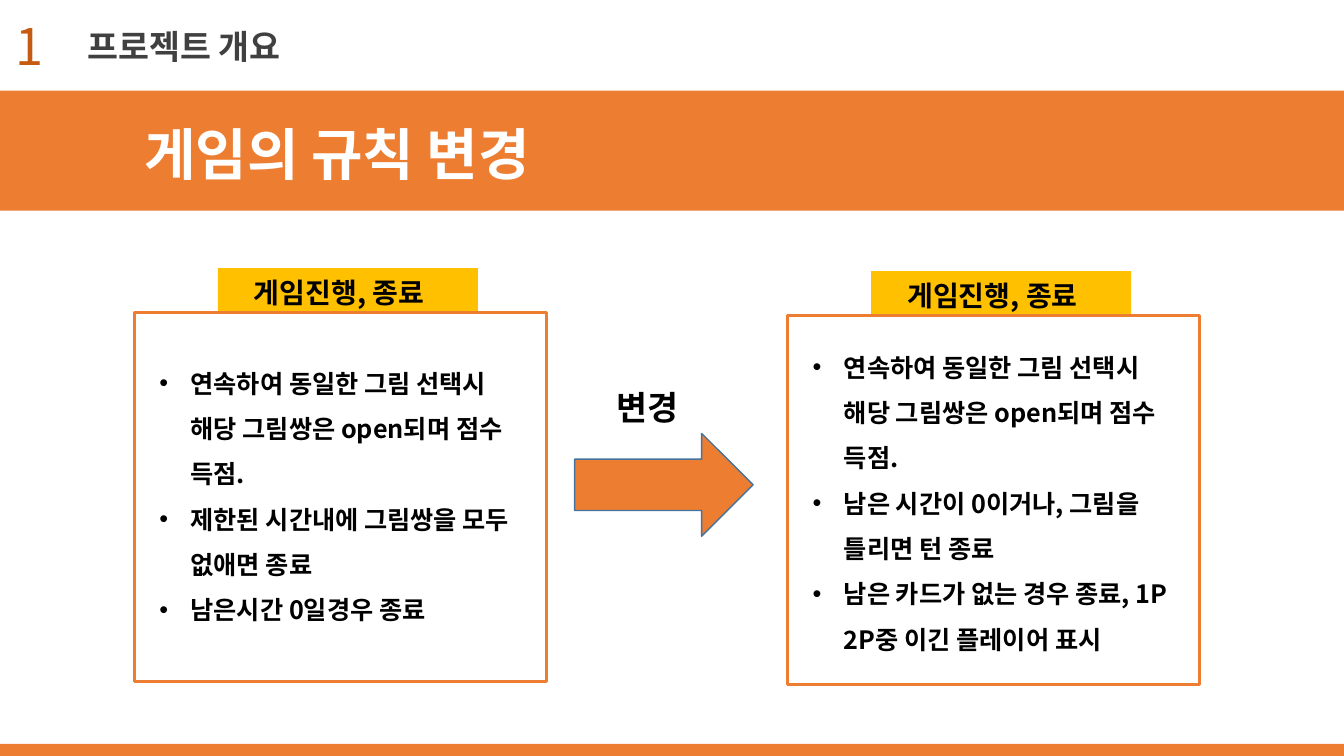
from dataclasses import dataclass

from pptx import Presentation
from pptx.dml.color import RGBColor
from pptx.enum.shapes import MSO_SHAPE as Shape
from pptx.enum.text import MSO_ANCHOR as Anchor, MSO_AUTO_SIZE as AutoSize, PP_ALIGN as Align
from pptx.oxml.ns import qn
from pptx.oxml.xmlchemy import OxmlElement
from pptx.util import Emu, Pt

FONT = "Noto Sans CJK KR"
ORANGE, AMBER, BLACK, WHITE = "ED7D31", "FFC000", "000000", "FFFFFF"
PAGE_WIDTH, PAGE_HEIGHT = 1333, 750
PANEL_WIDTH, PANEL_HEIGHT = 409, 366
TAG_WIDTH, TAG_HEIGHT = 258, 44
INDENT = 31


@dataclass
class Style:
    size: int
    color: str = BLACK
    bold: bool = True
    align: Align = Align.LEFT
    tracking: int = 0


@dataclass
class Panel:
    left: int
    top: int
    rules_top: int
    rules_height: int
    rules: list[str]


PANELS = [
    Panel(133, 310, 345, 283, [
        "연속하여 동일한 그림 선택시 해당 그림쌍은 open되며 점수 득점.",
        "제한된 시간내에 그림쌍을 모두 없애면 종료",
        "남은시간 0일경우 종료",
    ]),
    Panel(781, 313, 329, 328, [
        "연속하여 동일한 그림 선택시 해당 그림쌍은 open되며 점수 득점.",
        "남은 시간이 0이거나, 그림을 틀리면 턴 종료",
        "남은 카드가 없는 경우 종료, 1P 2P중 이긴 플레이어 표시",
    ]),
]


def px(length: int) -> Emu:
    """Convert pixels, 100 to the inch, to EMU."""
    return Emu(length * 9144)


def rgb(color: str) -> RGBColor:
    return RGBColor.from_string(color)


def format_paragraph(para, style: Style) -> None:
    para.alignment = style.align
    font = para.font
    font.size, font.bold, font.name = Pt(style.size), style.bold, FONT
    font.color.rgb = rgb(style.color)
    properties = para._p.pPr.find(qn("a:defRPr"))
    if style.tracking:
        properties.set("spc", str(style.tracking))
    east_asian = OxmlElement("a:ea")
    east_asian.set("typeface", FONT)
    properties.append(east_asian)


def add_bullet(para) -> None:
    properties = para._p.get_or_add_pPr()
    properties.set("marL", str(px(INDENT)))
    properties.set("indent", str(-px(INDENT)))
    bullet_font = OxmlElement("a:buFont")
    bullet_font.set("typeface", "Arial")
    bullet = OxmlElement("a:buChar")
    bullet.set("char", "•")
    properties.extend([bullet_font, bullet])


def fill_text(box, lines: list[str], style: Style, wrap: bool = True, bulleted: bool = False) -> None:
    frame = box.text_frame
    frame.text = "\n".join(lines)
    frame.word_wrap = wrap
    frame.auto_size = AutoSize.SHAPE_TO_FIT_TEXT
    frame.vertical_anchor = Anchor.TOP
    for para in frame.paragraphs:
        para.space_before = Pt(0)
        para.line_spacing = 1.5 if bulleted else 1.0
        if bulleted:
            add_bullet(para)
        format_paragraph(para, style)


def add_label(page, left: int, top: int, width: int, height: int,
              text: str, style: Style, wrap: bool = False) -> None:
    box = page.shapes.add_textbox(px(left), px(top), px(width), px(height))
    fill_text(box, [text], style, wrap)


def add_block(page, kind: Shape, left: int, top: int, width: int, height: int,
              fill: str = "", line: str = "", weight: float = 1) -> None:
    shape = page.shapes.add_shape(kind, px(left), px(top), px(width), px(height))
    shape.shadow.inherit = False
    if fill:
        shape.fill.solid()
        shape.fill.fore_color.rgb = rgb(fill)
    else:
        shape.fill.background()
    if line:
        shape.line.color.rgb = rgb(line)
        shape.line.width = Pt(weight)
    else:
        shape.line.fill.background()


def place_in_front(page, holder, left: int, top: int, width: int, height: int) -> None:
    holder.left, holder.top, holder.width, holder.height = map(px, (left, top, width, height))
    page.shapes._spTree.append(holder._element)


def draw_panel(page, panel: Panel, holder) -> None:
    left, top = panel.left, panel.top
    add_block(page, Shape.RECTANGLE, left + 83, top - TAG_HEIGHT, TAG_WIDTH, TAG_HEIGHT, AMBER)
    add_label(page, left + 109, top - 42, 206, TAG_HEIGHT, "게임진행, 종료", Style(20))
    add_block(page, Shape.RECTANGLE, left, top, PANEL_WIDTH, PANEL_HEIGHT, line=ORANGE, weight=2.25)
    place_in_front(page, holder, left + 15, panel.rules_top, PANEL_WIDTH - 30, panel.rules_height)
    fill_text(holder, panel.rules, Style(18), bulleted=True)


def main() -> None:
    deck = Presentation()
    deck.slide_width, deck.slide_height = px(PAGE_WIDTH), px(PAGE_HEIGHT)
    two_content = deck.slide_layouts[3]
    page = deck.slides.add_slide(two_content)
    title, *rule_holders = list(page.placeholders)

    add_block(page, Shape.RECTANGLE, 0, 90, PAGE_WIDTH, 119, ORANGE)
    add_label(page, 6, 10, 46, 71, "1", Style(36, "C55A11", bold=False, tracking=-150))
    add_label(page, 77, 21, 234, 50, "프로젝트 개요", Style(24, "404040"))
    place_in_front(page, title, 133, 114, 534, 77)
    fill_text(title, ["게임의 규칙 변경"], Style(40, WHITE))
    add_block(page, Shape.RECTANGLE, 0, 738, PAGE_WIDTH, 12, ORANGE)

    for panel, holder in zip(PANELS, rule_holders):
        draw_panel(page, panel, holder)

    add_block(page, Shape.RIGHT_ARROW, 570, 430, 177, 102, ORANGE, line="43739E")
    add_label(page, 570, 379, 144, 50, "변경", Style(24, align=Align.CENTER), wrap=True)
    deck.save("out.pptx")


if __name__ == "__main__":
    main()
